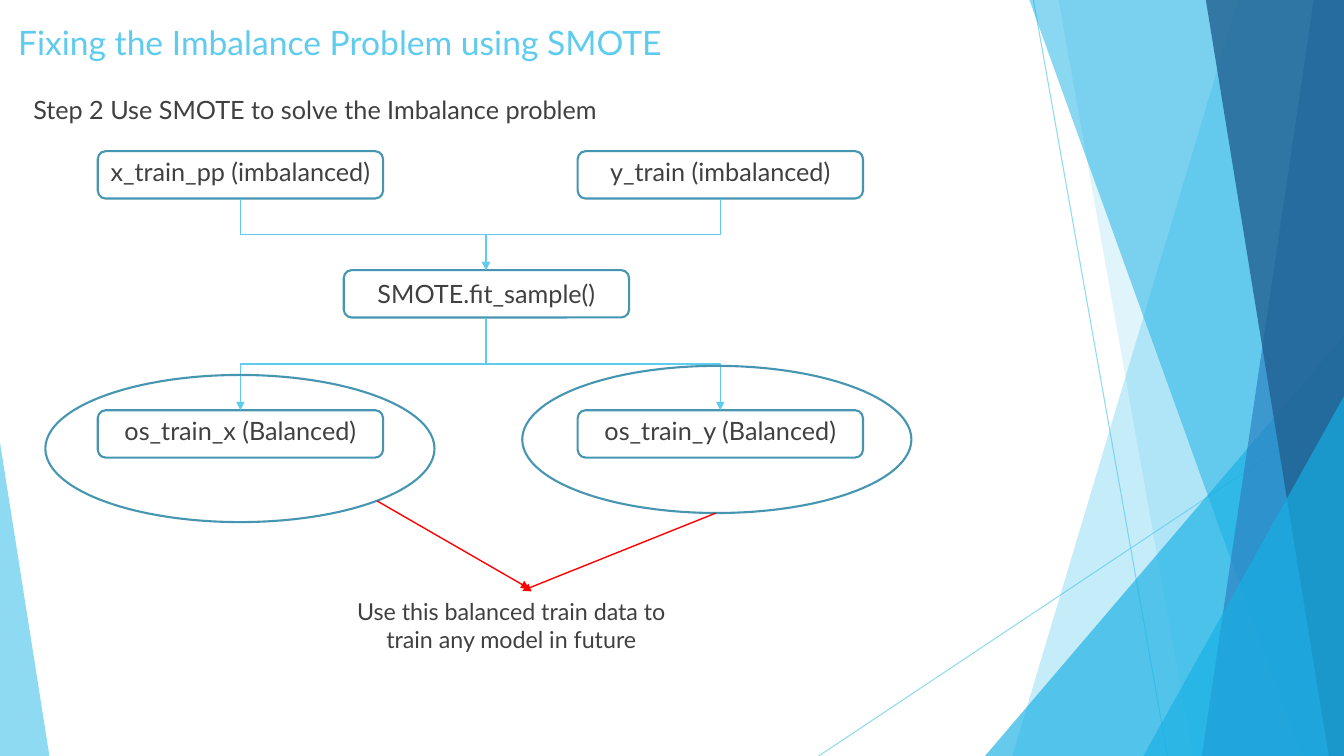
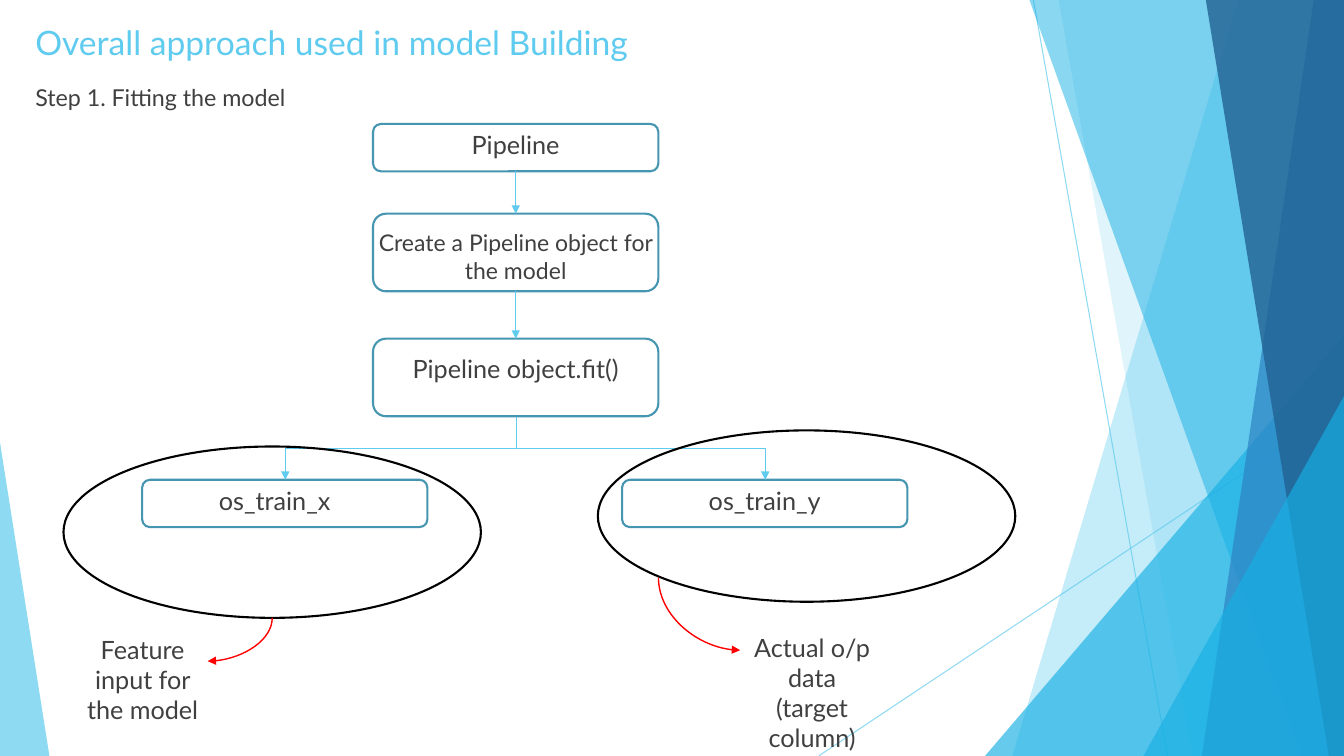
import pptx
import pptx.dml.color
import pptx.enum.shapes
import pptx.enum.text
import pptx.oxml
import pptx.oxml.ns
import pptx.util

Inches = pptx.util.Inches
Pt = pptx.util.Pt
RGBColor = pptx.dml.color.RGBColor
SHAPE = pptx.enum.shapes.MSO_SHAPE
LINK = pptx.enum.shapes.MSO_CONNECTOR
ALIGN = pptx.enum.text.PP_ALIGN
qn = pptx.oxml.ns.qn

# Shared look
SKY = RGBColor(0x5F, 0xCB, 0xEF)
CYAN = RGBColor(0x17, 0xB0, 0xE4)
BLUE = RGBColor(0x2E, 0x83, 0xC3)
NAVY = RGBColor(0x22, 0x62, 0x92)
TEAL = RGBColor(0x46, 0x96, 0xB1)
GREY = RGBColor(0x40, 0x40, 0x40)
RED = RGBColor(0xFF, 0x00, 0x00)
BLACK = RGBColor(0x00, 0x00, 0x00)
FONT = "Lato"
WIDTH, HEIGHT = 13.33, 7.5
NODE_WIDTH, NODE_HEIGHT = 2.83, 0.47


def add_xml(parent, tag, **attributes):
    child = pptx.oxml.parse_xml(
        f'<{tag} xmlns:a="http://schemas.openxmlformats.org/drawingml/2006/main"/>')
    for name, value in attributes.items():
        child.set(name, value)
    parent.append(child)


def set_opacity(shape, percent):
    colour = shape.element.spPr.find(".//" + qn("a:srgbClr"))
    add_xml(colour, "a:alpha", val=str(percent * 1000))


# Text
def write(frame, text, size=18, colour=GREY, align=ALIGN.CENTER,
          anchor=pptx.enum.text.MSO_ANCHOR.TOP):
    frame.word_wrap = True
    frame.auto_size = pptx.enum.text.MSO_AUTO_SIZE.NONE
    frame.vertical_anchor = anchor
    para = frame.paragraphs[0]
    para.alignment = align
    para.space_before = Pt(10)
    span = para.add_run()
    span.text = text
    span.font.name = FONT
    span.font.size = Pt(size)
    span.font.color.rgb = colour
    return para


def place(shape, left, top, width, height):
    shape.left, shape.top = Inches(left), Inches(top)
    shape.width, shape.height = Inches(width), Inches(height)


def add_title(slide, text, *area):
    place(slide.shapes.title, *area)
    write(slide.shapes.title.text_frame, text, 24, SKY, ALIGN.LEFT)


def add_step(slide, text, *area, size=18):
    body = slide.placeholders[1]
    place(body, *area)
    para = write(body.text_frame, text, size, align=ALIGN.LEFT)
    properties = para._p.get_or_add_pPr()
    properties.set("marL", "0")
    properties.set("indent", "0")
    add_xml(properties, "a:buNone")


def add_label(slide, text, left, top, width, height, size=18):
    box = slide.shapes.add_textbox(*map(Inches, (left, top, width, height)))
    write(box.text_frame, text, size)


# Shapes
def add_outline(slide, kind, left, top, width, height, colour):
    shape = slide.shapes.add_shape(kind, *map(Inches, (left, top, width, height)))
    shape.shadow.inherit = False
    shape.fill.background()
    shape.line.color.rgb = colour
    shape.line.width = Pt(1.5)
    return shape


def add_node(slide, text, left, top, height=NODE_HEIGHT, size=18, drop=0.03, shift=0):
    """Rounded box; drop and shift move its text down and sideways."""
    node = add_outline(slide, SHAPE.ROUNDED_RECTANGLE, left, top, NODE_WIDTH, height, TEAL)
    frame = node.text_frame
    frame.margin_left = Inches(max(2 * shift, 0))
    frame.margin_right = Inches(max(-2 * shift, 0))
    frame.margin_top, frame.margin_bottom = Inches(drop), 0
    write(frame, text, size)
    return node


# Lines and arrows
def add_line(slide, start, end, colour=SKY, kind=LINK.STRAIGHT, width=1, arrow=True):
    line = slide.shapes.add_connector(kind, *map(Inches, (*start, *end)))
    line.line.color.rgb = colour
    line.line.width = Pt(width)
    if arrow:
        add_xml(line.line._get_or_add_ln(), "a:tailEnd", type="triangle")
    add_xml(line.element.spPr, "a:effectLst")
    return line


def add_turning_arrow(slide, start, end, colour=SKY, kind=LINK.ELBOW):
    """Arrow that leaves downwards: a sideways connector, turned a quarter."""
    middle_x, middle_y = (start[0] + end[0]) / 2, (start[1] + end[1]) / 2
    half_width, half_height = (end[1] - start[1]) / 2, abs(end[0] - start[0]) / 2
    leftward = end[0] < start[0]
    if not leftward:
        half_width = -half_width
    line = add_line(slide, (middle_x - half_width, middle_y - half_height),
                    (middle_x + half_width, middle_y + half_height), colour, kind)
    properties = line.element.spPr
    properties.find(qn("a:xfrm")).set("rot", "5400000" if leftward else "16200000")
    if kind == LINK.CURVE:
        properties.find(qn("a:prstGeom")).set("prst", "curvedConnector2")


def join(slide, upper, lower):
    line = add_line(slide, (0, 0), (1, 1))
    line.begin_connect(upper, 2)
    line.end_connect(lower, 0)


# Backdrop, kept on the layout
def finish_facet(shape, colour, opacity):
    shape.shadow.inherit = False
    shape.fill.solid()
    shape.fill.fore_color.rgb = colour
    shape.line.fill.background()
    set_opacity(shape, opacity)


def add_band(slide, top_x, bottom_x, colour, opacity):
    """Slanted band that reaches the right edge of the slide."""
    outline = slide.shapes.build_freeform(Inches(top_x), 0)
    outline.add_line_segments([(Inches(x), Inches(y)) for x, y in (
        (WIDTH, 0), (WIDTH, HEIGHT), (bottom_x, HEIGHT))])
    finish_facet(outline.convert_to_shape(), colour, opacity)


def add_corner(slide, left, top, width, peak, colour, opacity):
    """Triangle that stands on the bottom edge; peak is 0 (left) or 1 (right)."""
    corner = slide.shapes.add_shape(SHAPE.ISOSCELES_TRIANGLE, *map(
        Inches, (left, top, width, HEIGHT - top)))
    corner.adjustments[0] = peak
    finish_facet(corner, colour, opacity)


def add_backdrop(deck, layout):
    slide = deck.slides.add_slide(layout)
    placeholders = list(slide.placeholders)
    for start, end in (((10.25, 0), (11.58, HEIGHT)), ((WIDTH, 4.03), (8.12, HEIGHT))):
        set_opacity(add_line(slide, start, end, width=0.75, arrow=False), 70)
    add_band(slide, 12.28, 10.04, SKY, 36)
    add_band(slide, 10.5, 11.83, SKY, 20)
    add_corner(slide, 9.77, 3.33, 3.56, 1, CYAN, 66)
    add_band(slide, 10.21, 12.91, CYAN, 50)
    add_band(slide, 13.03, 11.92, BLUE, 70)
    add_band(slide, 11.96, 13.18, NAVY, 80)
    add_corner(slide, 11.34, 3.93, 1.99, 1, CYAN, 66)
    add_corner(slide, 0, 4.39, 0.49, 0, SKY, 70)
    facets = list(slide.shapes)[len(placeholders):]
    for position, facet in enumerate(facets, start=2):
        layout.shapes.element.insert(position, facet.element)
    return slide


# Slides
def fill_smote_slide(slide):
    add_title(slide, "Fixing the Imbalance Problem using SMOTE", 0.08, 0.17, 6.9, 0.72)
    add_step(slide, "Step 2 Use SMOTE to solve the Imbalance problem", 0.23, 0.89, 8.19, 0.58)
    columns = ((0.97, "x_train_pp (imbalanced)", "os_train_x (Balanced)", 0.45, 3.72),
               (5.73, "y_train (imbalanced)", "os_train_y (Balanced)", 5.18, 3.63))
    add_node(slide, "SMOTE.fit_sample()", 3.41, 2.68, drop=0.06)
    for left, source, result, ring_left, ring_top in columns:
        middle = left + NODE_WIDTH / 2
        add_node(slide, source, left, 1.5)
        add_node(slide, result, left, 4.07)
        add_turning_arrow(slide, (middle, 1.97), (4.82, 2.68))
        add_turning_arrow(slide, (4.82, 3.15), (middle, 4.07))
        add_outline(slide, SHAPE.OVAL, ring_left, ring_top, 3.86, 1.46, TEAL)
    add_line(slide, (3.74, 4.97), (5.25, 5.84), RED)
    add_line(slide, (7.1, 5.09), (5.18, 5.86), RED)
    add_label(slide, "Use this balanced train data to train any model in future",
              3.41, 5.88, 3.32, 0.58, size=16.6)


def fill_approach_slide(slide):
    add_title(slide, "Overall approach used in model Building", 0.25, 0.17, 6.53, 0.54)
    add_step(slide, "Step 1. Fitting the model", 0.25, 0.78, 2.87, 0.54, size=16.6)
    # Pipeline column
    pipeline = add_node(slide, "Pipeline", 3.7, 1.23)
    create = add_node(slide, "Create a Pipeline object for the model", 3.7, 2.12,
                      height=0.77, size=16.4, drop=0.11)
    fit = add_node(slide, "Pipeline object.fit()", 3.7, 3.36, height=0.77, drop=0.11)
    join(slide, pipeline, create)
    join(slide, create, fit)
    # Training data
    add_node(slide, "os_train_x", 1.41, 4.76, shift=-0.1)
    add_node(slide, "os_train_y", 6.17, 4.76)
    for middle in (2.83, 7.59):
        add_turning_arrow(slide, (5.12, 4.14), (middle, 4.76))
    for left, top in ((0.63, 4.43), (5.93, 4.27)):
        add_outline(slide, SHAPE.OVAL, left, top, 4.14, 1.7, BLACK)
    # Explanations
    add_turning_arrow(slide, (2.7, 6.13), (2.06, 6.56), RED, LINK.CURVE)
    add_turning_arrow(slide, (6.53, 5.73), (7.34, 6.45), RED, LINK.CURVE)
    add_label(slide, "Feature input for the model", 0.7, 6.24, 1.43, 1.26)
    add_label(slide, "Actual o/p data (target column)", 7.34, 6.22, 1.43, 1.26)


def main():
    deck = pptx.Presentation()
    deck.slide_width, deck.slide_height = Inches(WIDTH), Inches(HEIGHT)
    layout = deck.slide_layouts[1]
    fill_smote_slide(add_backdrop(deck, layout))
    fill_approach_slide(deck.slides.add_slide(layout))
    deck.save("out.pptx")


if __name__ == "__main__":
    main()
